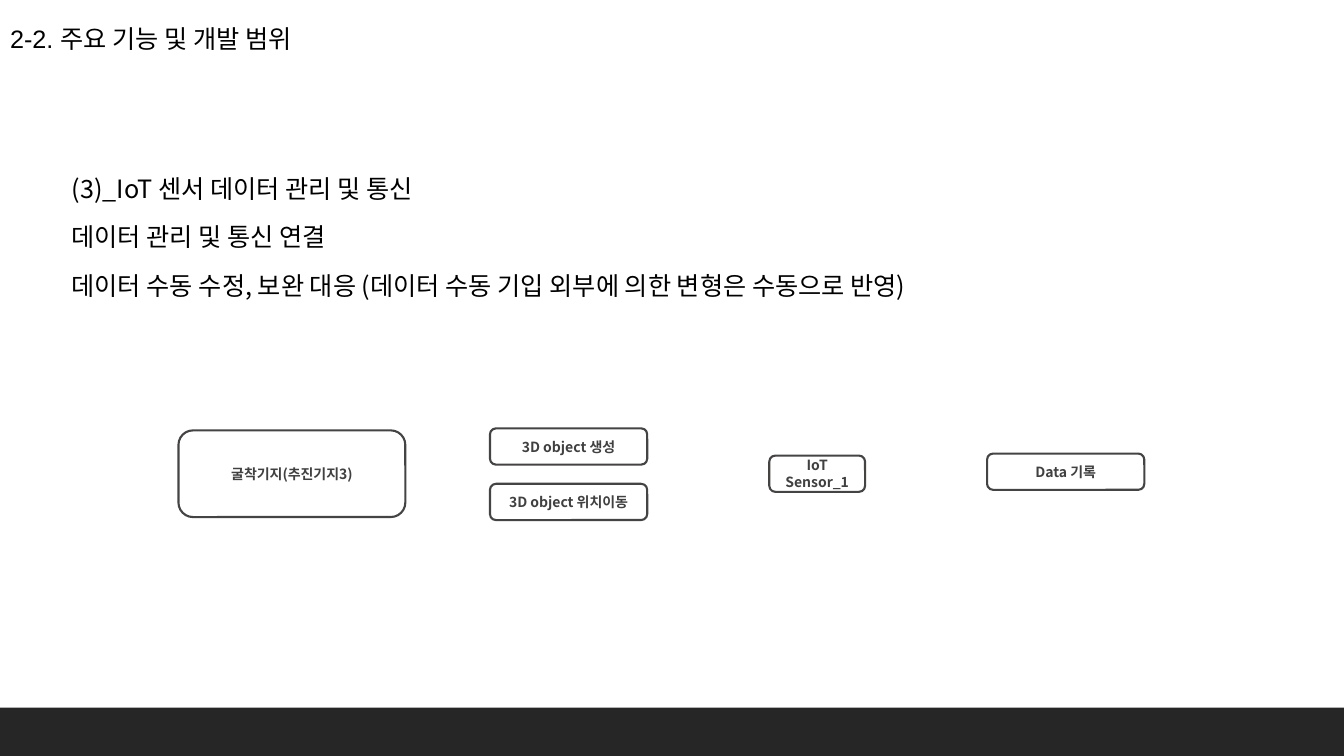
from lxml.etree import SubElement
from pptx import Presentation
from pptx.dml.color import RGBColor
from pptx.enum.shapes import MSO_SHAPE
from pptx.enum.text import MSO_ANCHOR, MSO_AUTO_SIZE, PP_ALIGN
from pptx.oxml.ns import qn
from pptx.util import Inches, Pt

COLORS = {"text": "000000", "label": "404040", "outline": "464343", "footer": "262626"}
KOREAN_FONT = "Noto Sans CJK KR"

HEADING = "2-2. 주요 기능 및 개발 범위"
SCOPE = [
    "(3)_IoT 센서 데이터 관리 및 통신",
    "데이터 관리 및 통신 연결",
    "데이터 수동 수정, 보완 대응 (데이터 수동 기입 외부에 의한 변형은 수동으로 반영)",
]
# Label, left, top, width, height
STEPS = [
    ("굴착기지(추진기지3)", 1.77, 4.27, 2.25, 0.86),
    ("3D object 생성", 4.86, 4.25, 1.56, 0.36),
    ("3D object 위치이동", 4.86, 4.8, 1.56, 0.36),
    ("IoT Sensor_1", 7.63, 4.52, 0.95, 0.36),
    ("Data 기록", 9.79, 4.5, 1.56, 0.36),
]


def color(name):
    return RGBColor.from_string(COLORS[name])


def format_runs(paragraph, size, color_name, font=KOREAN_FONT, bold=False):
    for run in paragraph.runs:
        run.font.size = Pt(size)
        run.font.bold = bold
        run.font.name = font
        run.font.color.rgb = color(color_name)
        SubElement(run.font._element, qn("a:ea"), typeface=KOREAN_FONT)


def fill_placeholder(placeholder, lines, box, font=KOREAN_FONT):
    placeholder.left, placeholder.top, placeholder.width, placeholder.height = map(Inches, box)
    frame = placeholder.text_frame
    frame.text = "\n".join(lines)
    frame.word_wrap = True
    frame.vertical_anchor = MSO_ANCHOR.TOP
    frame.auto_size = MSO_AUTO_SIZE.SHAPE_TO_FIT_TEXT
    for paragraph in frame.paragraphs:
        properties = paragraph._p.get_or_add_pPr()
        properties.set("marL", "0")
        properties.set("indent", "0")
        SubElement(properties, qn("a:buNone"))
        paragraph.alignment = PP_ALIGN.JUSTIFY
        paragraph.line_spacing = 1.6
        paragraph.space_before = Pt(0)
        format_runs(paragraph, 18, "text", font)


def add_step(slide, label, *box):
    step = slide.shapes.add_shape(MSO_SHAPE.ROUNDED_RECTANGLE, *map(Inches, box))
    step.shadow.inherit = False
    step.fill.background()
    step.line.color.rgb = color("outline")
    step.line.width = Pt(1.5)
    frame = step.text_frame
    frame.text = label
    frame.word_wrap = True
    frame.vertical_anchor = MSO_ANCHOR.MIDDLE
    frame.paragraphs[0].alignment = PP_ALIGN.CENTER
    format_runs(frame.paragraphs[0], 10, "label", bold=True)


def add_footer(slide):
    footer = slide.shapes.add_shape(
        MSO_SHAPE.RECTANGLE, Inches(0), Inches(7.02), Inches(13.33), Inches(0.56))
    footer.shadow.inherit = False
    footer.fill.solid()
    footer.fill.fore_color.rgb = color("footer")
    footer.line.fill.background()


def main():
    deck = Presentation()
    deck.slide_width, deck.slide_height = Inches(13.33), Inches(7.5)
    slide = deck.slides.add_slide(deck.slide_layouts[1])

    # Heading and scope list
    fill_placeholder(slide.shapes.title, [HEADING], (0, 0, 13.33, 0.52), "Arial")
    scope = slide.placeholders[1]
    fill_placeholder(scope, SCOPE, (0.61, 1.49, 12.01, 1.49))
    scope.text_frame.paragraphs[0].alignment = PP_ALIGN.LEFT

    # Process steps and footer band
    for step in STEPS:
        add_step(slide, *step)
    add_footer(slide)

    deck.save("out.pptx")


if __name__ == "__main__":
    main()
